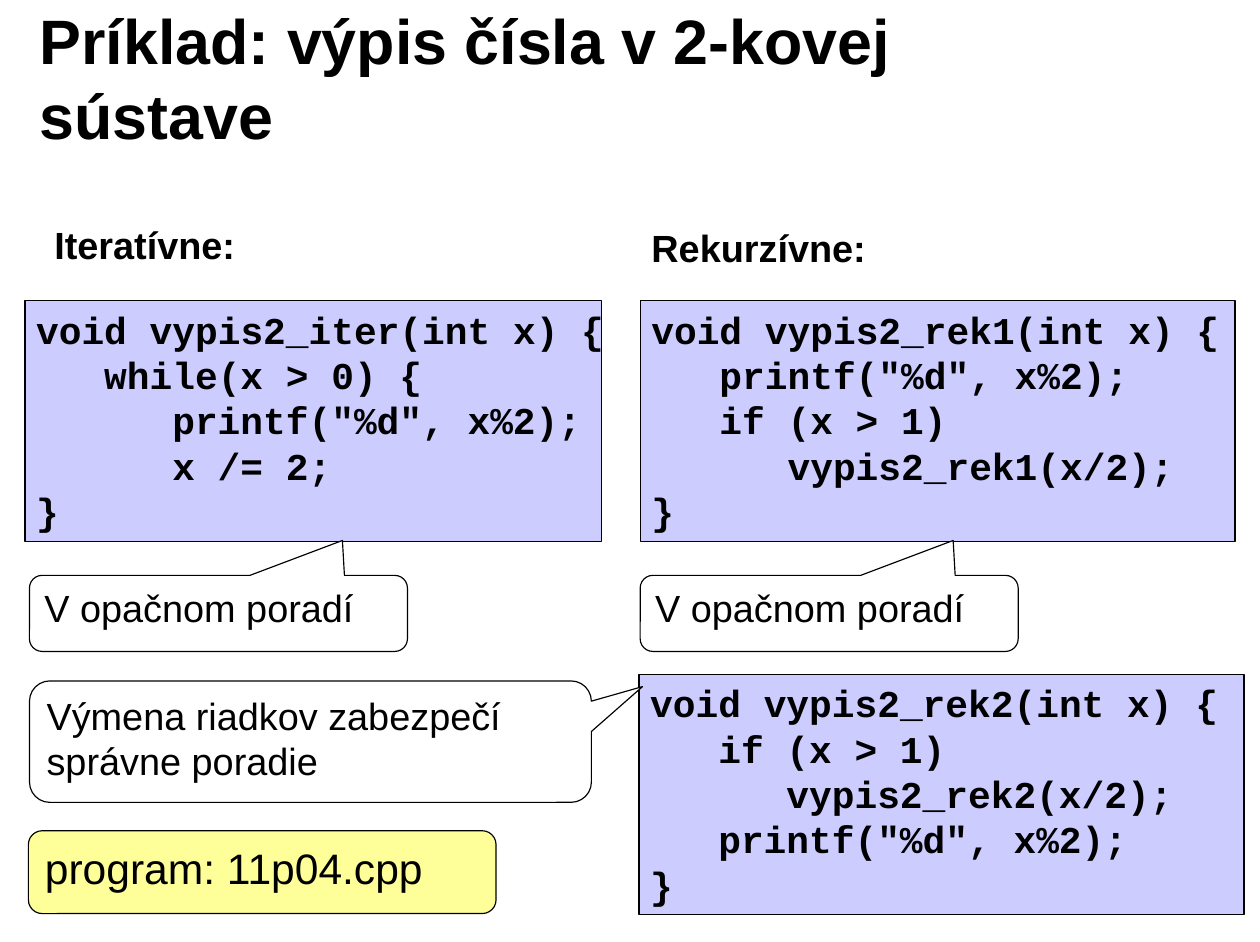
from pptx import Presentation
from pptx.dml.color import RGBColor
from pptx.enum.shapes import MSO_SHAPE
from pptx.enum.text import MSO_ANCHOR, MSO_AUTO_SIZE, PP_ALIGN
from pptx.util import Inches, Pt

BLACK = RGBColor(0, 0, 0)
WHITE = RGBColor(255, 255, 255)
LILAC = RGBColor(0xCC, 0xCC, 0xFF)
YELLOW = RGBColor(0xFF, 0xFF, 0x99)
STEP = 0.6


def write(shape, lines, size=24, font="Arial", bold=False):
    frame = shape.text_frame
    frame.text = "\n".join(lines)
    for para in frame.paragraphs:
        para.alignment = PP_ALIGN.LEFT
        for run in para.runs:
            run.font.name = font
            run.font.size = Pt(size)
            run.font.bold = bold
            run.font.color.rgb = BLACK
    return frame


def panel(kind, box, fill):
    shape = slide.shapes.add_shape(kind, *map(Inches, box))
    shape.shadow.inherit = False
    shape.fill.solid()
    shape.fill.fore_color.rgb = fill
    shape.line.color.rgb = BLACK
    shape.line.width = Pt(0.75)
    shape.text_frame.word_wrap = True
    shape.text_frame.vertical_anchor = MSO_ANCHOR.TOP
    return shape


deck = Presentation()
deck.slide_width = Inches(11.1)
deck.slide_height = Inches(8.3)
slide = deck.slides.add_slide(deck.slide_layouts[5])

title = slide.shapes.title
title.left, title.top = Inches(0.25), Inches(0.17)
title.width, title.height = Inches(8.92), Inches(1.02)
frame = write(title, ["Príklad: výpis čísla v 2-kovej sústave"], 39.8, bold=True)
frame.auto_size = MSO_AUTO_SIZE.NONE
frame.vertical_anchor = MSO_ANCHOR.MIDDLE

codes = [
    (5.63, 5.94, 5.33, [
        (0, "void vypis2_rek2(int x) {"),
        (1, "if (x > 1)"),
        (2, "vypis2_rek2(x/2);"),
        (1, 'printf("%d", x%2);'),
        (0, "}")]),
    (0.22, 2.65, 5.08, [
        (0, "void vypis2_iter(int x) {"),
        (1, "while(x > 0) {"),
        (2, 'printf("%d", x%2);'),
        (2, "x /= 2;"),
        (0, "}")]),
    (5.64, 2.65, 5.24, [
        (0, "void vypis2_rek1(int x) {"),
        (1, 'printf("%d", x%2);'),
        (1, "if (x > 1)"),
        (2, "vypis2_rek1(x/2);"),
        (0, "}")]),
]
for left, top, width, code in codes:
    panel(MSO_SHAPE.RECTANGLE, (left, top, width, 2.12), LILAC)
    box = slide.shapes.add_textbox(*map(Inches, (left, top, 5.24, 2.12)))
    frame = write(box, [line for depth, line in code], font="Courier New", bold=True)
    frame.word_wrap = False
    frame.auto_size = MSO_AUTO_SIZE.SHAPE_TO_FIT_TEXT
    for para, (depth, line) in zip(frame.paragraphs, code):
        props = para._p.get_or_add_pPr()
        props.set("marL", str(Inches(STEP * depth)))
        props.set("indent", "0")

heads = [
    (0.38, 1.9, 1.81, "Iteratívne:"),
    (5.64, 1.93, 2.11, "Rekurzívne:"),
]
for left, top, width, text in heads:
    box = slide.shapes.add_textbox(*map(Inches, (left, top, width, 0.5)))
    frame = write(box, [text], bold=True)
    frame.word_wrap = False
    frame.auto_size = MSO_AUTO_SIZE.SHAPE_TO_FIT_TEXT

order = "V opačnom poradí"
swap = "Výmena riadkov zabezpečí správne poradie"
notes = [
    ((0.26, 5.07, 3.33, 0.67), (0.328, -0.959), order),
    ((5.64, 5.07, 3.33, 0.67), (0.328, -0.959), order),
    ((0.26, 6, 4.95, 1.07), (0.591, -0.453), swap),
]
for box, tip, text in notes:
    note = panel(MSO_SHAPE.ROUNDED_RECTANGULAR_CALLOUT, box, WHITE)
    note.adjustments[0], note.adjustments[1] = tip
    write(note, [text])

label = panel(MSO_SHAPE.ROUNDED_RECTANGLE, (0.25, 7.32, 4.12, 0.73), YELLOW)
frame = write(label, ["program: 11p04.cpp"], 27)
frame.margin_left = frame.margin_right = Inches(0.11)
frame.margin_top = frame.margin_bottom = Inches(0.06)

deck.save("out.pptx")
